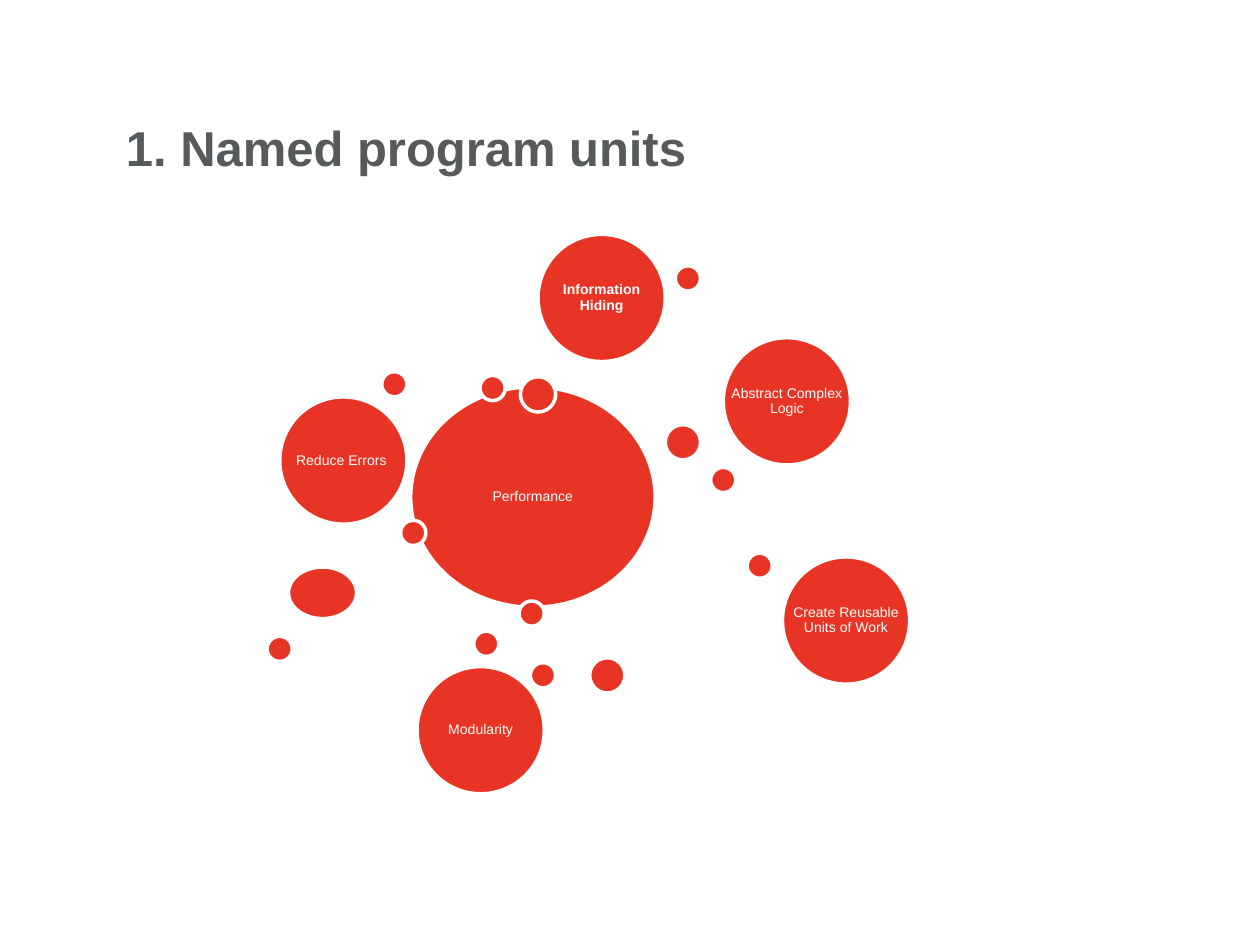
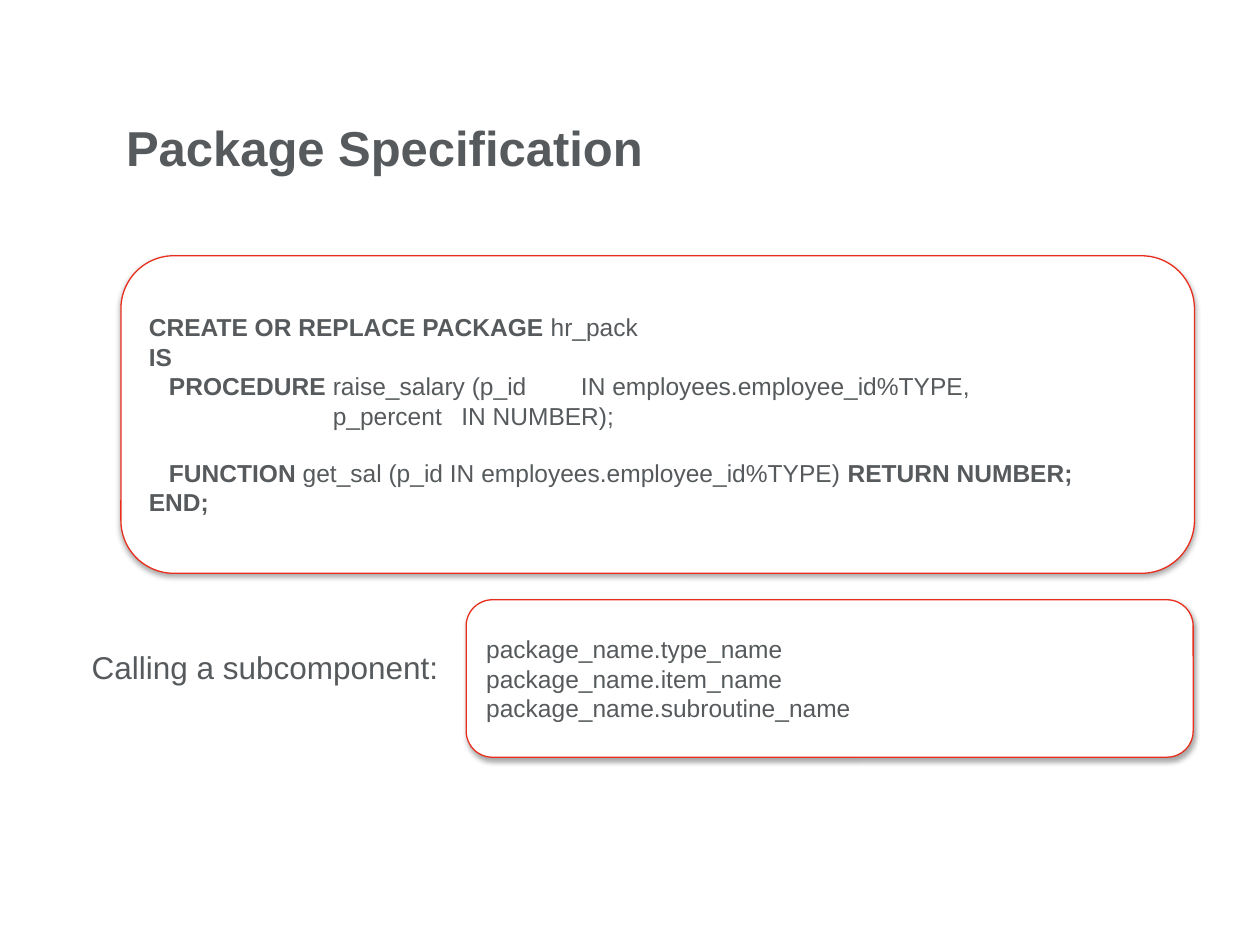
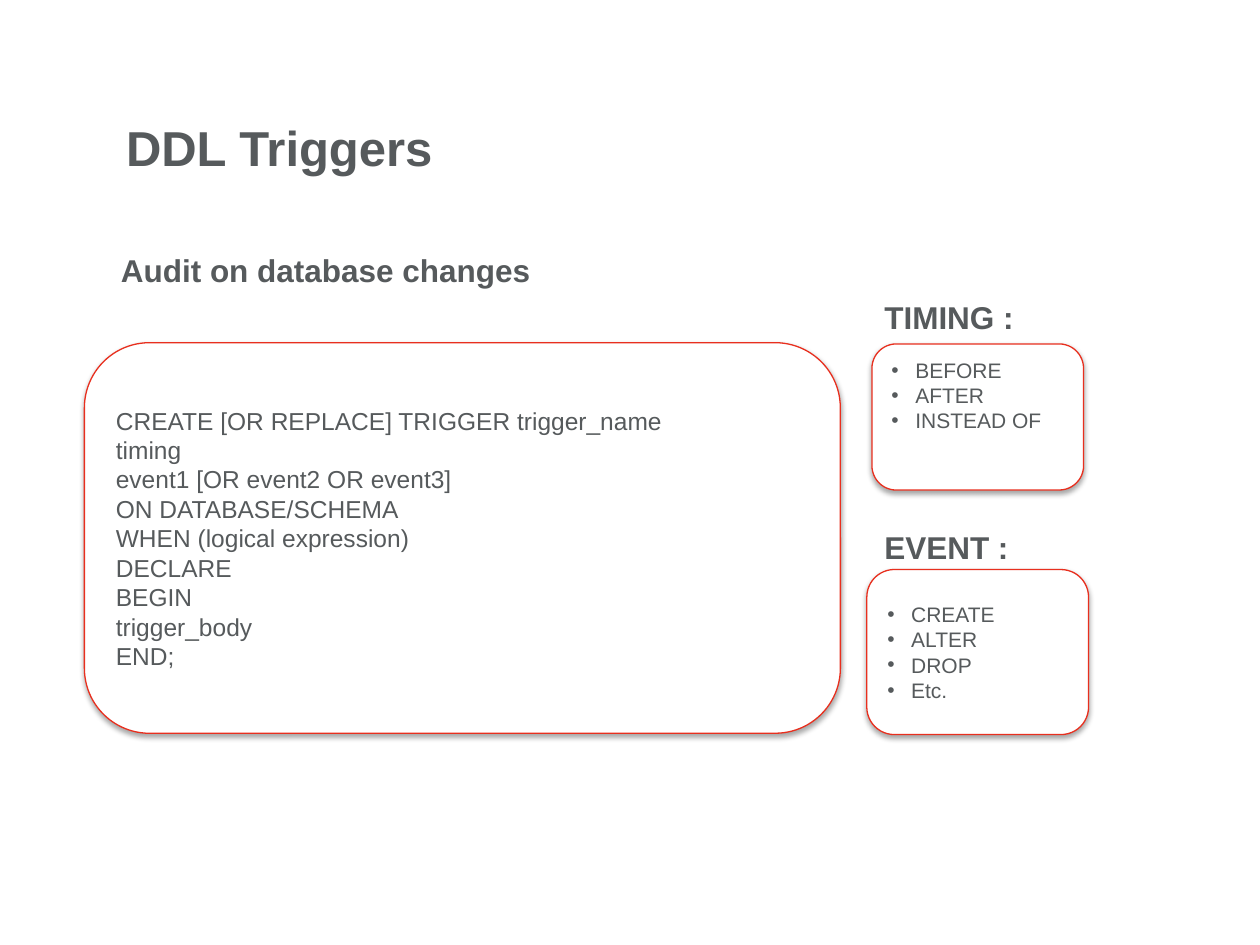
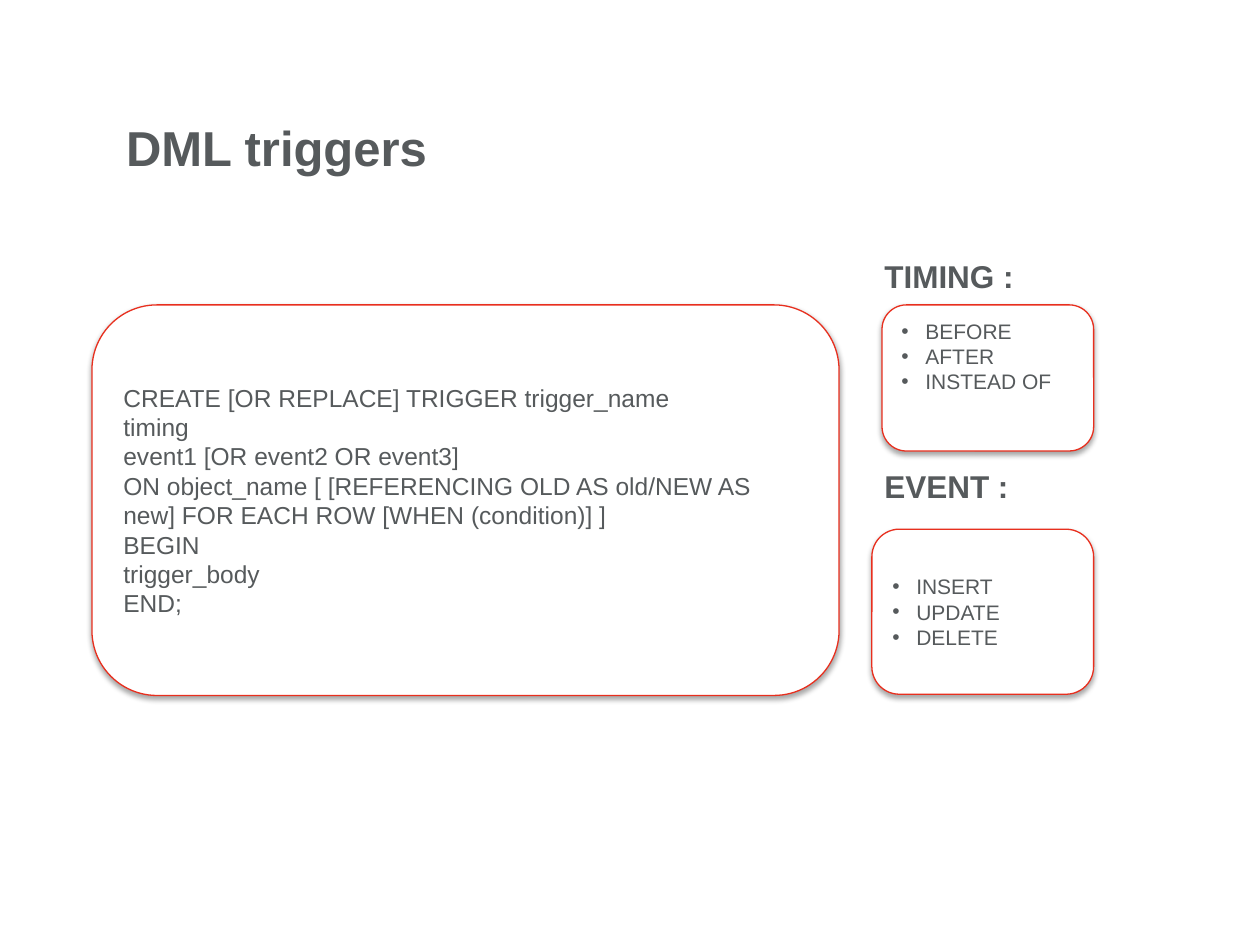
from lxml import etree
from pptx import Presentation
from pptx.dml import color
from pptx.enum import shapes, text
from pptx.oxml import ns
from pptx.util import Inches, Pt

COLORS = {"red": "E83424", "outline": "E82F1E", "gray": "565A5C", "white": "FFFFFF", "shadow": "000000"}
RGB = {name: color.RGBColor.from_string(value) for name, value in COLORS.items()}
FONT = "Arial"
INSETS = (0.1, 0.05, 0.1, 0.05)


def write(shape, lines, size=14, ink="gray", bold=False, anchor="MIDDLE", align="LEFT",
          insets=INSETS, bullets=False, line_spacing=None, space_before=None):
    """Write one paragraph per line; words between asterisks are bold."""
    frame = shape.text_frame
    frame.word_wrap = True
    frame.vertical_anchor = text.MSO_ANCHOR[anchor]
    frame.margin_left, frame.margin_top, frame.margin_right, frame.margin_bottom = map(Inches, insets)
    for number, line in enumerate(lines):
        paragraph = frame.add_paragraph() if number else frame.paragraphs[0]
        paragraph.alignment = text.PP_ALIGN[align]
        if line_spacing:
            paragraph.line_spacing = line_spacing
        if space_before:
            paragraph.space_before = Pt(space_before)
        for part, words in enumerate(line.split("*")):
            if words:
                run = paragraph.add_run()
                run.text = words
                run.font.name, run.font.size = FONT, Pt(size)
                run.font.bold = bold or part % 2 == 1
                run.font.color.rgb = RGB[ink]
        if bullets:
            properties = paragraph._p.get_or_add_pPr()
            properties.set("marL", str(Inches(0.19)))
            properties.set("indent", str(-Inches(0.19)))
            etree.SubElement(properties, ns.qn("a:buFont"), typeface=FONT)
            etree.SubElement(properties, ns.qn("a:buChar"), char="•")


def add_panel(slide, box, lines, **style):
    """Add a white rounded panel with a red outline and a soft shadow."""
    panel = slide.shapes.add_shape(shapes.MSO_SHAPE.ROUNDED_RECTANGLE, *map(Inches, box))
    panel.fill.solid()
    panel.fill.fore_color.rgb = RGB["white"]
    panel.line.color.rgb = RGB["outline"]
    panel.line.width = Pt(0.75)
    panel.shadow.inherit = False
    effects = panel._element.spPr.find(ns.qn("a:effectLst"))
    shadow = etree.SubElement(effects, ns.qn("a:outerShdw"), blurRad=str(Pt(3.1)),
                              dist=str(Pt(1.8)), dir="5400000", rotWithShape="0")
    shade = etree.SubElement(shadow, ns.qn("a:srgbClr"), val=COLORS["shadow"])
    etree.SubElement(shade, ns.qn("a:alpha"), val="35000")
    write(panel, lines, **style)
    return panel


presentation = Presentation()
presentation.slide_width, presentation.slide_height = Inches(10), Inches(7.5)

# Slides with their titles
titles = [("1. Named program units", 7.86), ("Package Specification", 6.31),
          ("DDL Triggers", 6.31), ("DML triggers", 6.72)]
slides = []
for title, width in titles:
    slide = presentation.slides.add_slide(presentation.slide_layouts[6])
    box = slide.shapes.add_textbox(Inches(0.96), Inches(0.84), Inches(width), Inches(0.65))
    box.fill.solid()
    box.fill.fore_color.rgb = RGB["white"]
    write(box, [title], size=28, bold=True, insets=(0.04, 0, 0, 0))
    slides.append(slide)
units_slide, package_slide, ddl_slide, dml_slide = slides

# Slide 1: bubbles from back to front, as left, top, width, height, label
SMALL, MEDIUM, LARGE = (0.2, 0.2), (0.28, 0.28), (1.01, 1.01)
bubbles = [
    (3.26, 3.07, (1.94, 1.75), "Performance"),
    (3.76, 5.01, SMALL, ""),
    (5.64, 3.71, SMALL, ""),
    (4.68, 5.22, MEDIUM, ""),
    (3.81, 2.98, SMALL, ""),
    (3.18, 4.13, SMALL, ""),
    (2.22, 3.15, LARGE, "Reduce Errors "),
    (4.13, 2.99, MEDIUM, ""),
    (2.29, 4.5, (0.54, 0.41), ""),
    (5.74, 2.68, LARGE, "Abstract Complex Logic"),
    (5.28, 3.37, MEDIUM, ""),
    (2.12, 5.05, SMALL, ""),
    (4.12, 4.77, SMALL, ""),
    (6.21, 4.42, LARGE, "Create Reusable Units of Work"),
    (5.93, 4.39, SMALL, ""),
    (3.31, 5.29, LARGE, "Modularity"),
    (4.21, 5.26, SMALL, ""),
    (4.27, 1.86, LARGE, "*Information Hiding*"),
    (3.03, 2.95, SMALL, ""),
    (5.36, 2.11, SMALL, ""),
]
for left, top, size, label in bubbles:
    place = [Inches(length) for length in (left, top, *size)]
    bubble = units_slide.shapes.add_shape(shapes.MSO_SHAPE.OVAL, *place)
    bubble.fill.solid()
    bubble.fill.fore_color.rgb = RGB["red"]
    bubble.line.color.rgb = RGB["white"]
    bubble.line.width = Pt(2)
    bubble.shadow.inherit = False
    if label:  # a label uses the full width of its bubble
        write(units_slide.shapes.add_textbox(*place), [label], size=8, ink="white",
              align="CENTER", insets=(0.03,) * 4, line_spacing=0.9)

# Slide 2: package code, aligned by tab stops, and calls
code = add_panel(package_slide, (0.96, 2.03, 8.52, 2.52), [
    "*CREATE OR REPLACE PACKAGE *hr_pack",
    "*IS*",
    "\t*PROCEDURE *raise_salary (p_id\tIN employees.employee_id%TYPE,",
    "\tp_percent\tIN NUMBER);",
    "\t*FUNCTION *get_sal (p_id IN employees.employee_id%TYPE) *RETURN NUMBER;*",
    "*END;*",
])
tab_stops = {2: (0.16, 3.43), 3: (1.46, 2.48), 4: (0.16,)}
for number, stops in tab_stops.items():
    properties = code.text_frame.paragraphs[number]._p.get_or_add_pPr()
    tabs = etree.SubElement(properties, ns.qn("a:tabLst"))
    for stop in stops:
        etree.SubElement(tabs, ns.qn("a:tab"), pos=str(Inches(stop)), algn="l")
code.text_frame.paragraphs[4].space_before = Pt(16)

add_panel(package_slide, (3.7, 4.76, 5.77, 1.25),
          ["package_name.type_name", "package_name.item_name", "package_name.subroutine_name"])
calling = package_slide.shapes.add_textbox(Inches(0.63), Inches(5.09), Inches(3.07), Inches(0.4))
write(calling, ["Calling a subcomponent:"], size=18, anchor="TOP")

# Slide 3: subtitle
subtitle = ddl_slide.shapes.add_textbox(Inches(0.96), Inches(1.99), Inches(6.41), Inches(0.69))
write(subtitle, ["Audit on database changes"], size=18, bold=True, anchor="TOP",
      align="JUSTIFY", insets=(0, 0, 0, 0), space_before=3.6)

# Slides 3 and 4: trigger syntax with timing and event lists
opening = ["CREATE [OR REPLACE] TRIGGER trigger_name", "timing", "event1 [OR event2 OR event3]"]
closing = ["BEGIN", "trigger_body", "END;"]
timings = ["BEFORE", "AFTER", "INSTEAD OF"]
triggers = [
    (ddl_slide, (0.67, 2.72, 6, 3.1),
     ["ON DATABASE/SCHEMA", "WHEN (logical expression)", "DECLARE"],
     (6.92, 2.73), (6.88, 4.52), ["CREATE", "ALTER", "DROP", "Etc."], (2.32, 4.14)),
    (dml_slide, (0.73, 2.42, 5.93, 3.1),
     ["ON object_name [ [REFERENCING OLD AS old/NEW AS new] FOR EACH ROW [WHEN (condition)] ]"],
     (7, 2.42), (6.92, 4.2), ["INSERT", "UPDATE", "DELETE"], (1.99, 3.66)),
]
for slide, syntax_box, clauses, timing_at, event_at, events, heading_tops in triggers:
    add_panel(slide, syntax_box, opening + clauses + closing)
    add_panel(slide, (*timing_at, 1.68, 1.16), timings, size=12, anchor="TOP", bullets=True)
    add_panel(slide, (*event_at, 1.76, 1.31), events, size=12, bullets=True)
    for heading, top in zip(("TIMING :", "EVENT :"), heading_tops):
        box = slide.shapes.add_textbox(Inches(6.92), Inches(top), Inches(1.31), Inches(0.4))
        write(box, [heading], size=18, bold=True, anchor="TOP")

presentation.save("out.pptx")
